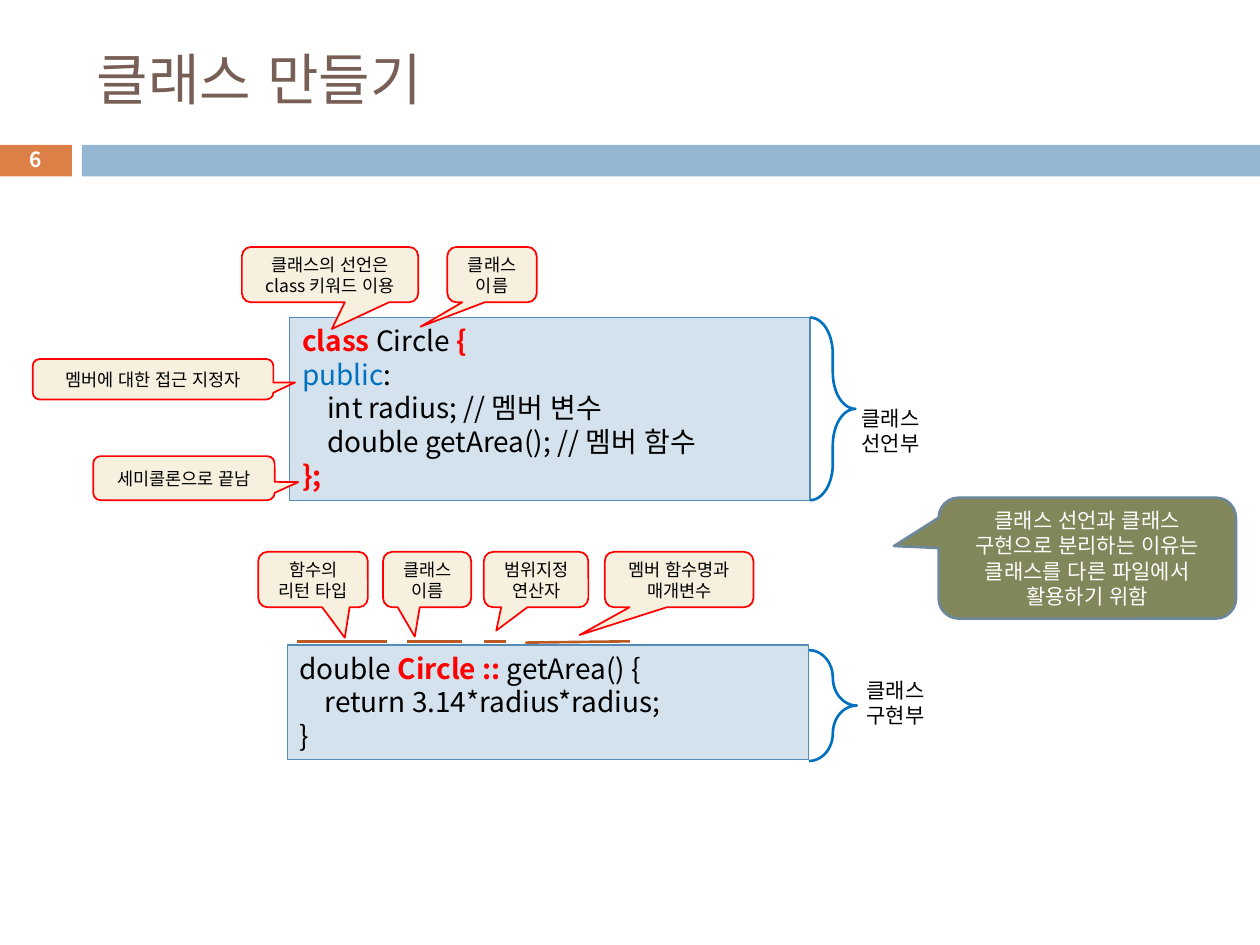
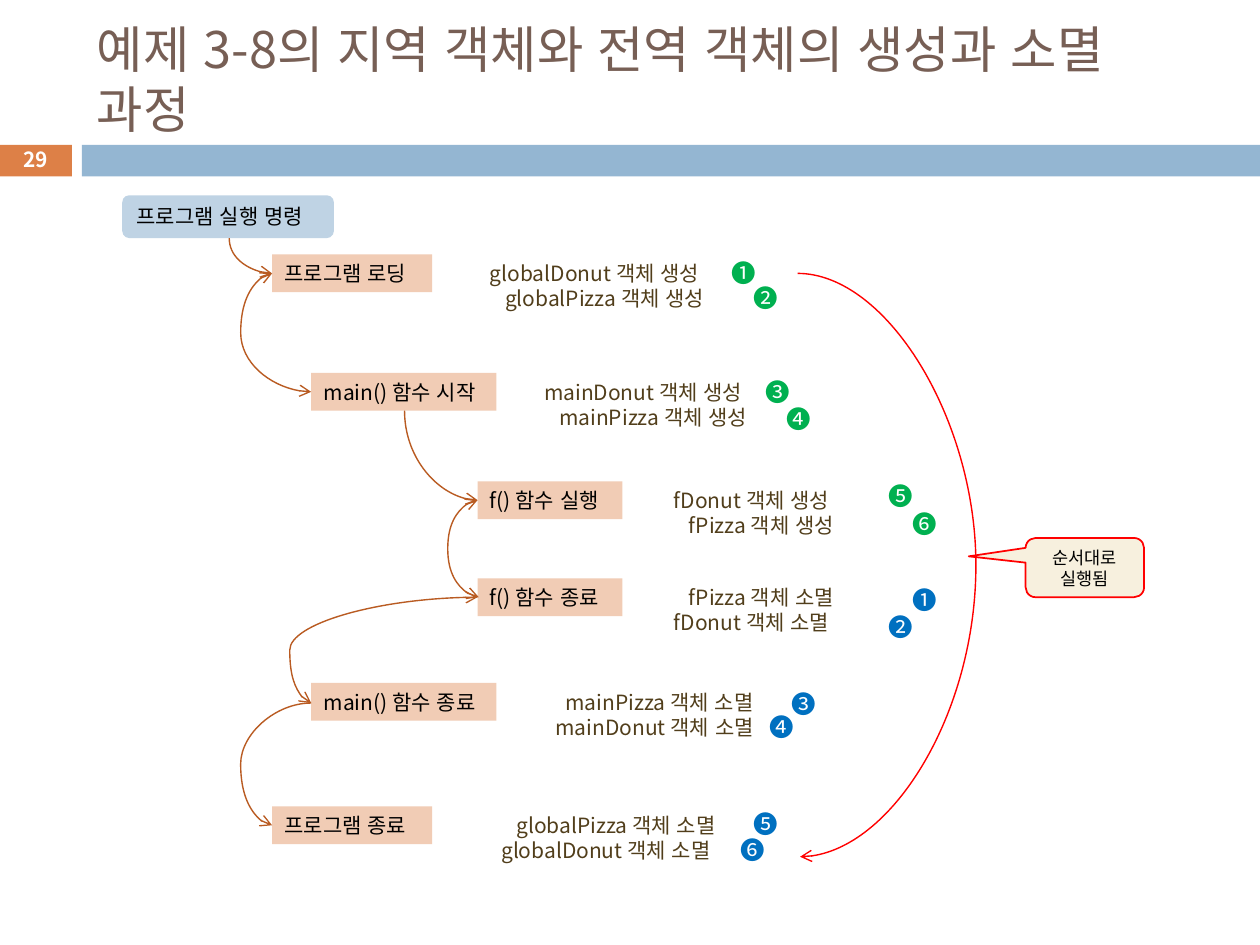
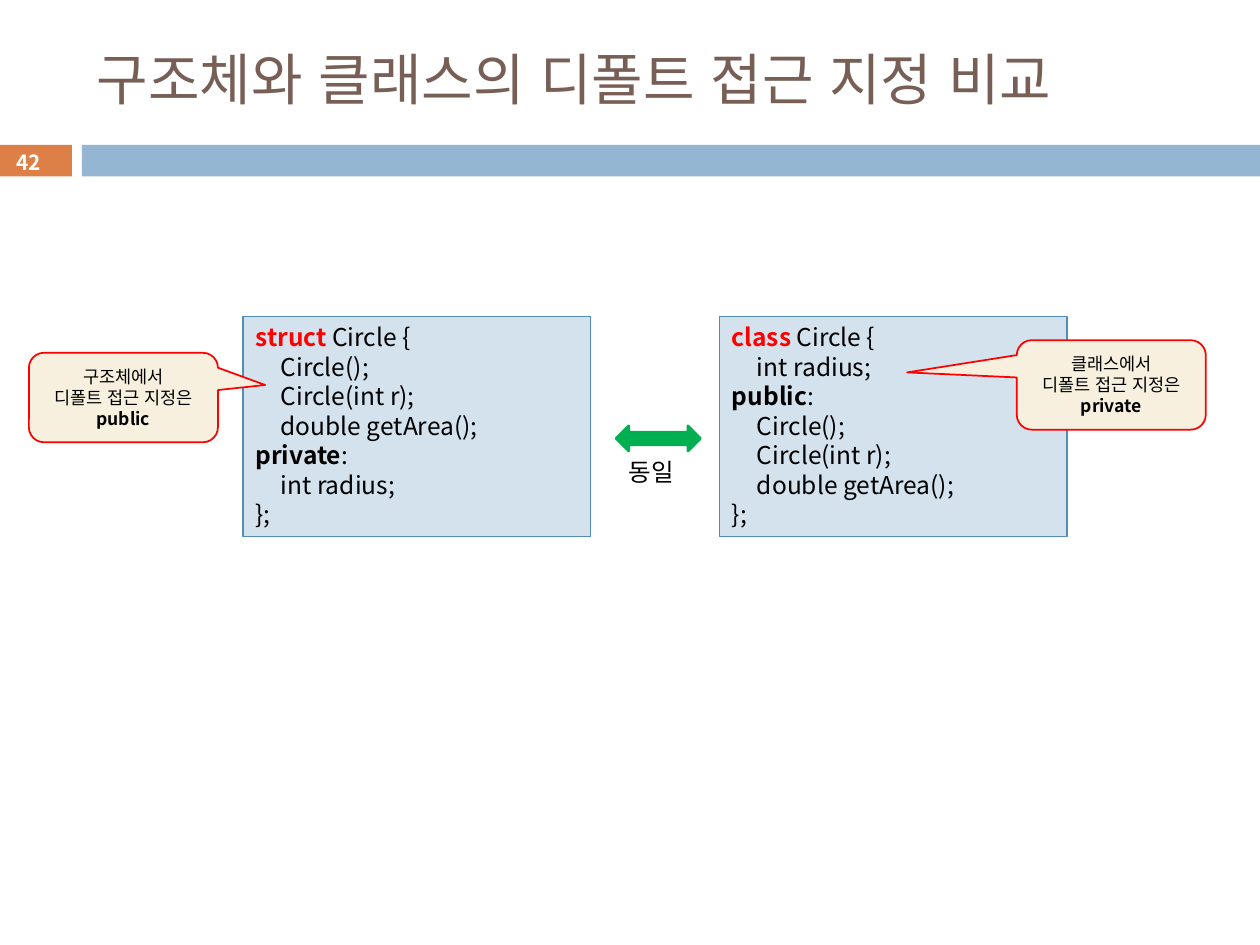
from lxml.etree import SubElement
from pptx import Presentation
from pptx.dml.color import RGBColor
from pptx.enum.lang import MSO_LANGUAGE_ID
from pptx.enum.shapes import MSO_CONNECTOR, MSO_SHAPE
from pptx.enum.text import MSO_ANCHOR, MSO_AUTO_SIZE, PP_ALIGN
from pptx.oxml.ns import qn
from pptx.util import Inches, Pt

FONT = "Noto Sans CJK KR"
BLACK = RGBColor(0x00, 0x00, 0x00)
WHITE = RGBColor(0xFF, 0xFF, 0xFF)
RED = RGBColor(0xFF, 0x00, 0x00)
BLUE = RGBColor(0x00, 0x70, 0xC0)
GREEN = RGBColor(0x00, 0xB0, 0x50)
TITLE_BROWN = RGBColor(0x77, 0x5F, 0x55)
BAND_ORANGE = RGBColor(0xDD, 0x80, 0x47)
BAND_BLUE = RGBColor(0x94, 0xB6, 0xD2)
CODE_FILL = RGBColor(0xD4, 0xE2, 0xED)
CODE_LINE = RGBColor(0x55, 0x8B, 0xB8)
CALLOUT_FILL = RGBColor(0xF7, 0xF0, 0xDE)
REASON_FILL = RGBColor(0x81, 0x87, 0x5A)
REASON_LINE = RGBColor(0x6D, 0x87, 0x9B)
RUST = RGBColor(0xB9, 0x5B, 0x22)
STEP_FILL = RGBColor(0xF1, 0xCC, 0xB5)
COMMAND_FILL = RGBColor(0xBF, 0xD3, 0xE4)
OBJECT_BROWN = RGBColor(0x51, 0x3E, 0x1B)

CODE = dict(fill=CODE_FILL, line=CODE_LINE, fit=True)
CENTERED = dict(align=PP_ALIGN.CENTER, anchor=MSO_ANCHOR.MIDDLE)
CALLOUT = dict(fill=CALLOUT_FILL, line=RED, width=1, size=10, **CENTERED)
LABEL = dict(fit=True, wrap=False)


def add_block(slide, preset, box, paragraphs=(), fill=None, line=None, width=0.75,
              size=12, color=BLACK, bold=False, align=PP_ALIGN.LEFT,
              anchor=MSO_ANCHOR.TOP, fit=False, wrap=True, indent=0.2, adjustments=()):
    place = [Inches(length) for length in box]
    if preset is None:
        shape = slide.shapes.add_textbox(*place)
    else:
        shape = slide.shapes.add_shape(preset, *place)
        shape.shadow.inherit = False
        for index, value in enumerate(adjustments):
            shape.adjustments[index] = value
        if fill is None:
            shape.fill.background()
        else:
            shape.fill.solid()
            shape.fill.fore_color.rgb = fill
        if line is None:
            shape.line.fill.background()
        else:
            shape.line.color.rgb = line
            shape.line.width = Pt(width)
    frame = shape.text_frame
    frame.word_wrap = wrap
    frame.auto_size = MSO_AUTO_SIZE.SHAPE_TO_FIT_TEXT if fit else MSO_AUTO_SIZE.NONE
    frame.vertical_anchor = anchor
    for index, runs in enumerate(paragraphs):
        paragraph = frame.add_paragraph() if index else frame.paragraphs[0]
        paragraph.alignment = align
        if isinstance(runs, str):
            if runs.startswith("\t"):
                properties = paragraph._p.get_or_add_pPr()
                properties.set("marL", str(Inches(indent)))
                properties.set("indent", "0")
            runs = [(runs.lstrip("\t"), color, bold)]
        for text, run_color, run_bold in runs:
            run = paragraph.add_run()
            run.text = text
            run.font.size = Pt(size)
            run.font.bold = run_bold
            run.font.color.rgb = run_color
            run.font.name = FONT
            run.font.language_id = MSO_LANGUAGE_ID.KOREAN
            SubElement(run._r.get_or_add_rPr(), qn("a:ea"), typeface=FONT)
    return shape


def add_line(slide, kind, begin, end, color, width, arrows=()):
    points = [Inches(length) for length in (*begin, *end)]
    connector = slide.shapes.add_connector(kind, *points)
    connector.line.color.rgb = color
    connector.line.width = Pt(width)
    outline = connector.line._get_or_add_ln()
    for arrow in arrows:
        SubElement(outline, qn(f"a:{arrow}"), type="arrow")
    SubElement(connector._element.spPr, qn("a:effectLst"))
    return connector


presentation = Presentation()
presentation.slide_width = Inches(10)
presentation.slide_height = Inches(7.5)

slides = []
for title, title_size, number, number_left, number_top in [
    ("클래스 만들기", 32, "6", -0.01, 1.13),
    ("예제 3-8의 지역 객체와 전역 객체의 생성과 소멸 과정", 28.8, "29", -0.01, 1.13),
    ("구조체와 클래스의 디폴트 접근 지정 비교", 32, "42", -0.06, 1.15),
]:
    slide = presentation.slides.add_slide(presentation.slide_layouts[6])
    add_block(slide, MSO_SHAPE.RECTANGLE, (-0.01, 1.15, 0.58, 0.25), fill=BAND_ORANGE)
    add_block(slide, MSO_SHAPE.RECTANGLE, (0.65, 1.15, 9.35, 0.25), fill=BAND_BLUE)
    add_block(slide, None, (0.67, 0.25, 8.92, 0.74), [title], size=title_size,
              color=TITLE_BROWN, anchor=MSO_ANCHOR.MIDDLE)
    add_block(slide, None, (number_left, number_top, 0.58, 0.27), [number],
              size=11.9, color=WHITE, bold=True, **CENTERED)
    slides.append(slide)
class_slide, lifetime_slide, access_slide = slides

add_block(class_slide, MSO_SHAPE.RECTANGLE, (2.28, 5.12, 4.14, 0.91), [
    [("double ", BLACK, False), ("Circle :: ", RED, True), ("getArea() {", BLACK, False)],
    "\treturn 3.14*radius*radius;",
    "}",
], size=16, **CODE)
add_block(class_slide, MSO_SHAPE.RECTANGLE, (2.3, 2.52, 4.13, 1.45), [
    [("class", RED, True), (" Circle ", BLACK, False), ("{", RED, True)],
    [("public", BLUE, False), (":", BLACK, False)],
    "\tint radius; // 멤버 변수",
    "\tdouble getArea(); // 멤버 함수",
    [("};", RED, True)],
], size=16, **CODE)

for left, right, begin_top in [(2.36, 3.07, 5.09), (3.23, 3.67, 5.09),
                               (3.84, 4.02, 5.09), (4.17, 5, 5.1)]:
    add_line(class_slide, MSO_CONNECTOR.STRAIGHT, (left, begin_top), (right, 5.09), RUST, 1.5)

for box, tip, paragraphs in [
    ((2.05, 4.38, 0.87, 0.44), (0.29, 1.05), ["함수의 리턴 타입"]),
    ((3.04, 4.38, 0.7, 0.44), (-0.14, 1.03), ["클래스", "이름"]),
    ((3.84, 4.38, 0.83, 0.44), (-0.38, 0.92), ["범위지정연산자"]),
    ((4.8, 4.38, 1.18, 0.44), (-0.67, 1), ["멤버 함수명과 매개변수"]),
    ((0.74, 3.62, 1.44, 0.35), (0.63, 0.09), ["세미콜론으로 끝남"]),
    ((1.92, 1.96, 1.4, 0.44), (0.01, 0.98), ["클래스의 선언은 class 키워드 이용"]),
    ((3.55, 1.96, 0.71, 0.44), (-0.8, 0.94), ["클래스 이름"]),
    ((0.26, 2.85, 1.91, 0.32), (0.59, 0.08), ["멤버에 대한 접근 지정자"]),
]:
    add_block(class_slide, MSO_SHAPE.ROUNDED_RECTANGULAR_CALLOUT, box, paragraphs,
              adjustments=tip, **CALLOUT)
add_block(class_slide, MSO_SHAPE.ROUNDED_RECTANGULAR_CALLOUT, (7.45, 3.95, 2.36, 0.96),
          ["클래스 선언과 클래스 구현으로 분리하는 이유는 클래스를 다른 파일에서 활용하기 위함"],
          fill=REASON_FILL, line=REASON_LINE, width=1.5, color=WHITE,
          adjustments=(-0.65, -0.1), **CENTERED)

for brace_box, curl, label_left, label_top, part in [
    ((6.43, 2.52, 0.36, 1.45), 0.8, 6.74, 3.17, "선언부"),
    ((6.42, 5.16, 0.38, 0.88), 0.71, 6.78, 5.33, "구현부"),
]:
    add_block(class_slide, MSO_SHAPE.RIGHT_BRACE, brace_box, line=BLUE, width=1.5,
              adjustments=(curl, 0.5))
    add_block(class_slide, None, (label_left, label_top, 0.71, 0.5), ["클래스", part], **LABEL)

add_block(lifetime_slide, MSO_SHAPE.FLOWCHART_ALTERNATE_PROCESS, (0.97, 1.55, 1.68, 0.34),
          ["프로그램 실행 명령"], fill=COMMAND_FILL, **LABEL)
for left, top, width, step, objects_left, objects_width, objects, indent in [
    (2.16, 2.02, 1.27, "프로그램 로딩", 3.79, 2.46,
     ["globalDonut 객체 생성", "\tglobalPizza 객체 생성"], 0.12),
    (2.47, 2.96, 1.47, "main() 함수 시작", 4.22, 2.66,
     ["mainDonut 객체 생성", "\tmainPizza 객체 생성"], 0.12),
    (3.79, 3.82, 1.15, "f() 함수 실행", 5.25, 2.66,
     ["fDonut 객체 생성", "\tfPizza 객체 생성"], 0.12),
    (3.79, 4.59, 1.15, "f() 함수 종료", 5.25, 2.66,
     ["\tfPizza 객체 소멸", "fDonut 객체 소멸"], 0.12),
    (2.47, 5.42, 1.47, "main() 함수 종료", 4.31, 2.66,
     ["\tmainPizza 객체 소멸", "mainDonut 객체 소멸"], 0.08),
    (2.16, 6.4, 1.27, "프로그램 종료", 3.88, 2.54,
     ["\tglobalPizza 객체 소멸", "globalDonut 객체 소멸"], 0.12),
]:
    add_block(lifetime_slide, MSO_SHAPE.RECTANGLE, (left, top, width, 0.3), [step],
              fill=STEP_FILL, **LABEL)
    add_block(lifetime_slide, None, (objects_left, top, objects_width, 0.5), objects,
              color=OBJECT_BROWN, fit=True, indent=indent)

for (x1, y1), (x2, y2) in [((1.82, 1.89), (2.16, 2.17)), ((3.21, 3.26), (3.79, 3.97))]:
    center_x, center_y = (x1 + x2) / 2, (y1 + y2) / 2
    half_width, half_height = (y2 - y1) / 2, (x2 - x1) / 2
    connector = add_line(lifetime_slide, MSO_CONNECTOR.CURVE,
                         (center_x - half_width, center_y - half_height),
                         (center_x + half_width, center_y + half_height),
                         RUST, 0.79, ["tailEnd"])
    properties = connector._element.spPr
    properties.find(qn("a:prstGeom")).set("prst", "curvedConnector2")
    properties.find(qn("a:xfrm")).set("rot", str(270 * 60000))
    properties.find(qn("a:xfrm")).set("flipH", "1")

BOTH = ["headEnd", "tailEnd"]
for begin, end, bend, color, arrows in [
    ((2.16, 2.17), (2.47, 3.11), 1.91, RUST, BOTH),
    ((3.8, 4.74), (3.79, 3.97), 3.55, RUST, BOTH),
    ((3.79, 4.74), (2.47, 5.58), 2.3, RUST, BOTH),
    ((2.47, 5.58), (2.16, 6.55), 1.91, RUST, ["tailEnd"]),
    ((6.33, 2.17), (6.35, 6.8), 7.74, RED, ["tailEnd"]),
]:
    connector = add_line(lifetime_slide, MSO_CONNECTOR.CURVE, begin, end, color, 0.79, arrows)
    ratio = (bend - begin[0]) / (end[0] - begin[0])
    guides = connector._element.spPr.find(qn("a:prstGeom")).get_or_add_avLst()
    SubElement(guides, qn("a:gd"), name="adj1", fmla=f"val {round(ratio * 100000)}")

add_block(lifetime_slide, MSO_SHAPE.ROUNDED_RECTANGULAR_CALLOUT, (8.14, 4.27, 0.94, 0.47),
          ["순서대로 실행됨"], adjustments=(-0.98, -0.19), **CALLOUT)

for color, positions in [
    (GREEN, [(5.71, 2), (5.88, 2.2), (5.98, 2.94), (6.14, 3.16), (6.95, 3.77), (7.14, 3.99)]),
    (BLUE, [(7.14, 4.59), (6.95, 4.81), (6.18, 5.42), (6.01, 5.6), (5.88, 6.37), (5.78, 6.58)]),
]:
    for digit, (left, top) in zip("❶❷❸❹❺❻", positions):
        add_block(lifetime_slide, None, (left, top, 0.38, 0.34), [digit],
                  size=14, color=color, **LABEL)

constructors = ["\tCircle();", "\tCircle(int r);", "\tdouble getArea();"]
radius = "\tint radius;"
for left, keyword, first_members, access, last_members in [
    (5.71, "class", [radius], "public", constructors),
    (1.93, "struct", constructors, "private", [radius]),
]:
    add_block(access_slide, MSO_SHAPE.RECTANGLE, (left, 2.51, 2.76, 1.75), [
        [(keyword, RED, True), (" Circle {", BLACK, False)],
        *first_members,
        [(access, BLACK, True), (":", BLACK, False)],
        *last_members,
        "};",
    ], size=14, **CODE)

for left, top, tip, owner, access in [
    (8.07, 2.7, (-1.08, -0.14), "클래스에서", "private"),
    (0.23, 2.8, (0.75, -0.14), "구조체에서", "public"),
]:
    add_block(access_slide, MSO_SHAPE.ROUNDED_RECTANGULAR_CALLOUT, (left, top, 1.5, 0.71),
              [owner, [("디폴트 접근 지정은 ", BLACK, False), (access, BLACK, True)]],
              adjustments=tip, **CALLOUT)

add_block(access_slide, MSO_SHAPE.LEFT_RIGHT_ARROW, (4.89, 3.38, 0.67, 0.2),
          fill=GREEN, line=GREEN, width=1.5)
add_block(access_slide, None, (4.89, 3.58, 0.59, 0.34), ["동일"], size=14, **LABEL)

presentation.save("out.pptx")
